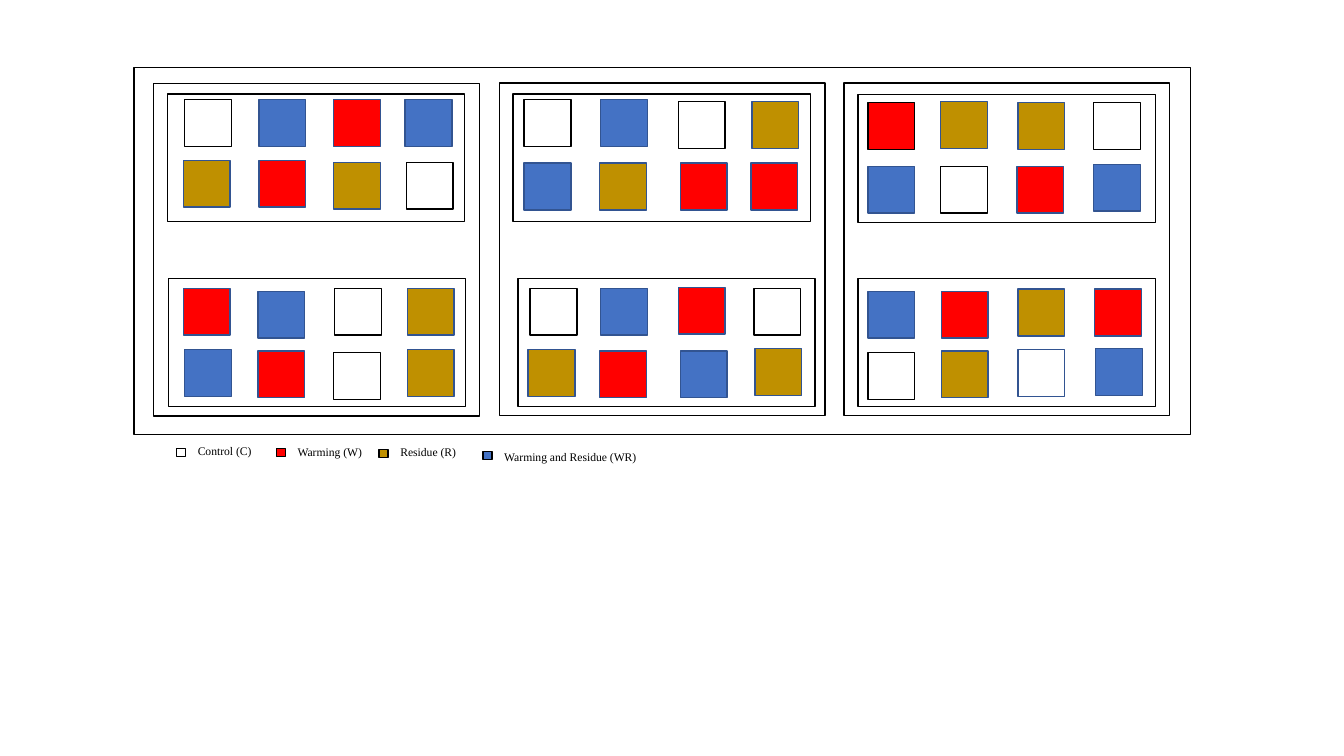
from pptx import Presentation
from pptx.dml.color import RGBColor
from pptx.enum.shapes import MSO_SHAPE as Shape
from pptx.enum.text import MSO_AUTO_SIZE as AutoSize
from pptx.util import Pt

BLACK, WHITE, NAVY = "000000", "FFFFFF", "325491"

# treatment: (fill, outline of its plots)
TREATMENTS = {
    "C": (WHITE, BLACK),
    "W": ("FF0000", NAVY),
    "R": ("BF9000", NAVY),
    "WR": ("4472C4", NAVY),
}

FIELD = (95.8, 48.2, 754.6, 262.1)
BLOCK_SIZE = (232.6, 237.6)
BLOCKS = [(109.8, 59.6), (356.8, 59.4), (603, 59.4)]
GROUP_SIZE = (212.4, 91.3)
PLOT_SIZE = (33.4, 33.4)

# group corner, then its plots: treatment, left, top and, where it differs, outline
GROUPS = [
    ((119.5, 67), [
        ("C", 131.8, 71.3), ("WR", 185, 71.3), ("W", 238.3, 71.3), ("WR", 289.4, 71.3),
        ("R", 131, 114.5), ("W", 185, 114.5), ("R", 238.3, 115.9), ("C", 290.2, 115.9)]),
    ((366.5, 67), [
        ("C", 374.4, 71.3), ("WR", 429.1, 71.3), ("C", 484.6, 72.7), ("R", 537.1, 72.7),
        ("WR", 374.4, 116.6), ("R", 428.4, 116.6), ("W", 486, 116.6), ("W", 536.4, 116.6)]),
    ((612.9, 67.6), [
        ("W", 619.9, 73.4, BLACK), ("R", 671.8, 72.7), ("R", 727.2, 73.4), ("C", 781.2, 73.4),
        ("WR", 619.9, 118.8), ("C", 671.8, 118.8), ("W", 726.5, 118.8), ("WR", 781.2, 117.4)]),
    ((120.2, 198.9), [
        ("W", 131, 205.9), ("WR", 184.3, 208.1), ("C", 239, 205.9), ("R", 290.9, 205.9),
        ("WR", 131.8, 249.8), ("W", 184.3, 250.6), ("C", 238.3, 252), ("R", 290.9, 249.8)]),
    ((369.9, 198.9), [
        ("C", 378.7, 205.9), ("WR", 429.1, 205.9), ("W", 484.6, 205.2), ("C", 538.6, 205.9),
        ("R", 377.3, 249.8), ("W", 428.4, 250.6), ("WR", 486, 250.6), ("R", 539.3, 249.1)]),
    ((612.9, 198.9), [
        ("WR", 619.9, 208.1), ("W", 672.5, 208.1), ("R", 727.2, 206.6), ("W", 781.9, 206.6),
        ("C", 619.9, 252), ("R", 672.5, 250.6), ("C", 727.2, 249.8, NAVY), ("WR", 782.6, 249.1)]),
]

# treatment, label, key corner, label top, label width
LEGEND = [
    ("C", "Control (C)", (126, 320.4), 313.2, 56.2),
    ("W", "Warming (W)", (197.3, 320.4), 314.6, 62.6),
    ("R", "Residue (R)", (270.7, 321.1), 314.6, 62.6),
    ("WR", "Warming and Residue (WR)", (344.9, 322.6), 317.5, 119.5),
]
KEY_SIZE = (6.5, 5.8)
LABEL_OFFSET = 8.2
LABEL_HEIGHT = 17.3


def color(hex_code):
    return RGBColor.from_string(hex_code)


def add_box(left, top, width, height, fill=None, outline=BLACK):
    box = slide.shapes.add_shape(Shape.RECTANGLE, Pt(left), Pt(top), Pt(width), Pt(height))
    box.shadow.inherit = False
    if fill:
        box.fill.solid()
        box.fill.fore_color.rgb = color(fill)
    else:
        box.fill.background()
    box.line.color.rgb = color(outline)
    box.line.width = Pt(1)


def add_label(text, left, top, width):
    label = slide.shapes.add_textbox(Pt(left), Pt(top), Pt(width), Pt(LABEL_HEIGHT))
    frame = label.text_frame
    frame.word_wrap = True
    frame.auto_size = AutoSize.SHAPE_TO_FIT_TEXT
    run = frame.paragraphs[0].add_run()
    run.text = text
    run.font.name = "Times New Roman"
    run.font.size = Pt(8.3)
    run.font.color.rgb = color(BLACK)


deck = Presentation()
deck.slide_width, deck.slide_height = Pt(960), Pt(540)
slide = deck.slides.add_slide(deck.slide_layouts[6])

add_box(*FIELD, WHITE)
for corner in BLOCKS:
    add_box(*corner, *BLOCK_SIZE, WHITE)

for corner, plots in GROUPS:
    add_box(*corner, *GROUP_SIZE)
    for treatment, left, top, *special_outline in plots:
        fill, outline = TREATMENTS[treatment]
        add_box(left, top, *PLOT_SIZE, fill, *(special_outline or [outline]))

for treatment, text, key_corner, label_top, label_width in LEGEND:
    add_box(*key_corner, *KEY_SIZE, TREATMENTS[treatment][0])
    add_label(text, key_corner[0] + LABEL_OFFSET, label_top, label_width)

deck.save("out.pptx")
